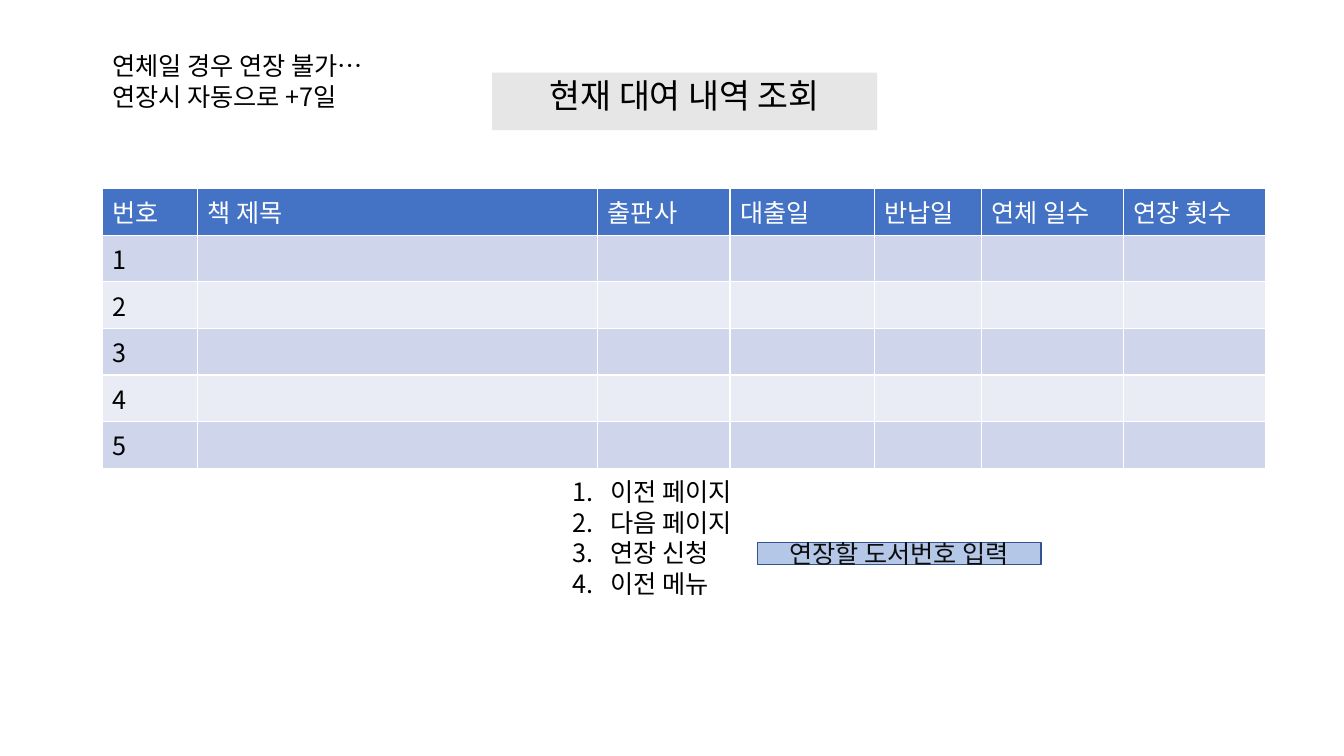
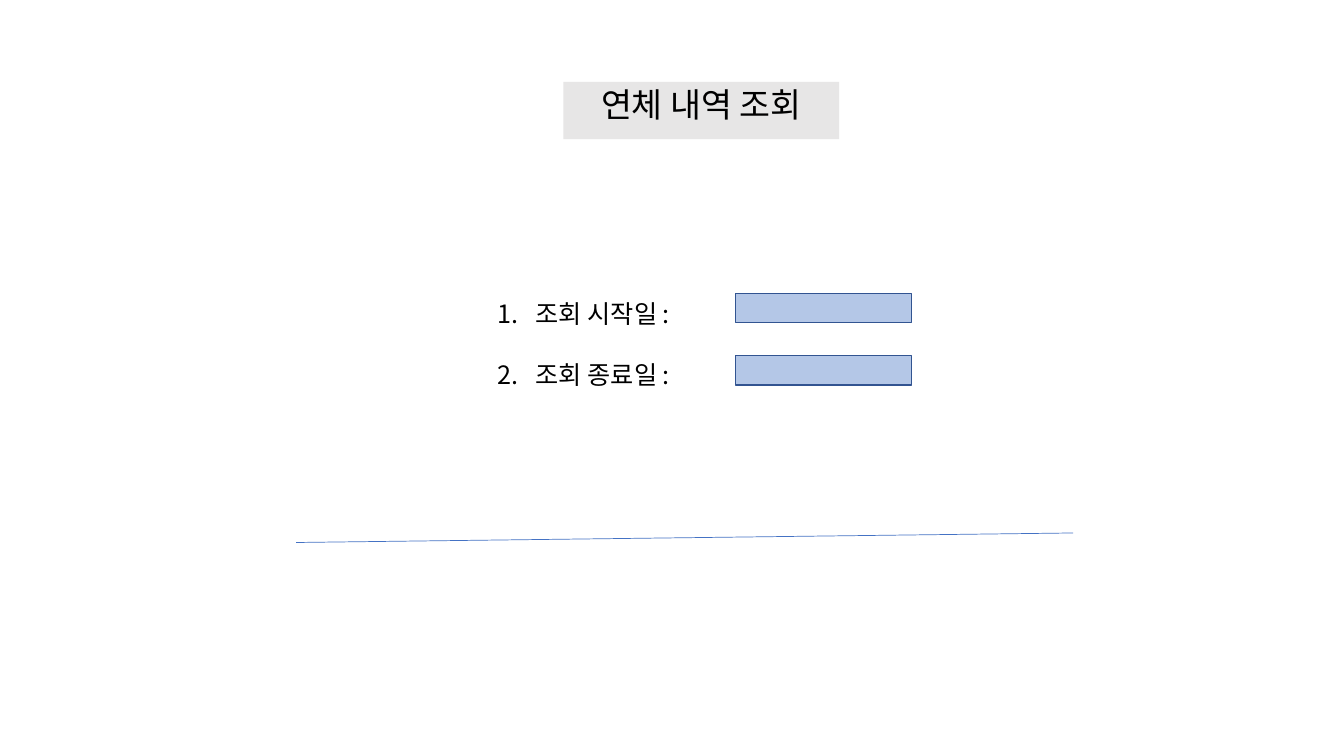
import pptx
import pptx.dml.color
import pptx.enum.shapes
import pptx.enum.text
import pptx.oxml.ns
import pptx.util
from lxml import etree

Pt = pptx.util.Pt
RGBColor = pptx.dml.color.RGBColor
PP_ALIGN = pptx.enum.text.PP_ALIGN
MSO_ANCHOR = pptx.enum.text.MSO_ANCHOR
qn = pptx.oxml.ns.qn

FONT = "Noto Sans CJK KR"
BLACK = RGBColor(0x00, 0x00, 0x00)
INK = RGBColor(0x0D, 0x0D, 0x0D)
WHITE = RGBColor(0xFF, 0xFF, 0xFF)
GRAY = RGBColor(0xE7, 0xE6, 0xE6)
BLUE = RGBColor(0x44, 0x72, 0xC4)
FIELD_FILL = RGBColor(0xB4, 0xC7, 0xE7)
FIELD_LINE = RGBColor(0x32, 0x54, 0x91)
ROW_FILLS = (RGBColor(0xCF, 0xD5, 0xEA), RGBColor(0xE9, 0xEB, 0xF5))

LIST_INDENT = 27
LINE_PITCH = 21.8


def write(frame, lines, size=18, color=BLACK, align=PP_ALIGN.LEFT,
          pitch=LINE_PITCH, gap=0, numbered=False):
    """Write one paragraph per line of text into a text frame."""
    for index, line in enumerate(lines):
        para = frame.add_paragraph() if index else frame.paragraphs[0]
        para.alignment = align
        if pitch:
            para.line_spacing = Pt(pitch)
        if index and gap:
            para.space_before = Pt(gap)
        if numbered:
            props = para._p.get_or_add_pPr()
            props.set("marL", str(Pt(LIST_INDENT)))
            props.set("indent", str(-Pt(LIST_INDENT)))
            etree.SubElement(props, qn("a:buFont"), typeface="+mj-lt")
            etree.SubElement(props, qn("a:buAutoNum"), type="arabicPeriod")
        span = para.add_run()
        span.text = line
        span.font.name = FONT
        span.font.size = Pt(size)
        span.font.color.rgb = color
        etree.SubElement(span.font._element, qn("a:ea"), typeface=FONT)


class Pages:
    """Holds the deck, its style and the current page."""

    def __init__(self):
        self.deck = pptx.Presentation()
        self.deck.slide_width = Pt(960)
        self.deck.slide_height = Pt(540)
        self.page = None

    def start(self):
        self.page = self.deck.slides.add_slide(self.deck.slide_layouts[6])

    def rect(self, left, top, width, height, fill, line=None):
        shape = self.page.shapes.add_shape(
            pptx.enum.shapes.MSO_SHAPE.RECTANGLE,
            Pt(left), Pt(top), Pt(width), Pt(height))
        shape.shadow.inherit = False
        shape.fill.solid()
        shape.fill.fore_color.rgb = fill
        if line is None:
            shape.line.fill.background()
        else:
            shape.line.color.rgb = line
            shape.line.width = Pt(1)
        return shape

    def title(self, text, left, top, width):
        band = self.rect(left, top, width, 41, GRAY)
        band.text_frame.vertical_anchor = MSO_ANCHOR.TOP
        write(band.text_frame, [text], size=24, align=PP_ALIGN.CENTER, pitch=26.5)

    def field(self, left, top, width, height, text=None):
        box = self.rect(left, top, width, height, FIELD_FILL, FIELD_LINE)
        box.text_frame.vertical_anchor = MSO_ANCHOR.MIDDLE
        if text:
            write(box.text_frame, [text], color=INK, align=PP_ALIGN.CENTER)

    def text(self, lines, left, top, width, height, **style):
        box = self.page.shapes.add_textbox(Pt(left), Pt(top), Pt(width), Pt(height))
        box.text_frame.word_wrap = True
        write(box.text_frame, lines, **style)

    def line(self, start, end):
        rule = self.page.shapes.add_connector(
            pptx.enum.shapes.MSO_CONNECTOR.STRAIGHT,
            *(Pt(value) for value in start + end))
        rule.line.color.rgb = BLUE
        rule.line.width = Pt(0.5)
        etree.SubElement(rule._element.spPr, qn("a:effectLst"))

    def table(self, rows, left, top, widths, row_height):
        table = self.page.shapes.add_table(
            len(rows), len(widths), Pt(left), Pt(top),
            Pt(sum(widths)), Pt(row_height * len(rows))).table
        for column, width in zip(table.columns, widths):
            column.width = Pt(width)
        for r, texts in enumerate(rows):
            table.rows[r].height = Pt(row_height)
            for c, text in enumerate(texts):
                cell = table.cell(r, c)
                self.borders(cell)
                cell.fill.solid()
                cell.fill.fore_color.rgb = ROW_FILLS[(r - 1) % 2] if r else BLUE
                if text:
                    write(cell.text_frame, [text], pitch=None,
                          color=BLACK if r else WHITE)

    def borders(self, cell):
        props = cell._tc.get_or_add_tcPr()
        for side in ("lnL", "lnR", "lnT", "lnB"):
            edge = etree.SubElement(props, qn("a:" + side), w=str(Pt(1)))
            fill = etree.SubElement(edge, qn("a:solidFill"))
            etree.SubElement(fill, qn("a:srgbClr"), val=str(WHITE))


def current_loans(pages):
    pages.start()
    pages.title("현재 대여 내역 조회", 351.5, 52, 275)

    # Loan table with numbered empty rows
    header = ["번호", "책 제목", "출판사", "대출일", "반납일", "연체 일수", "연장 횟수"]
    blanks = [""] * (len(header) - 1)
    rows = [header] + [[str(number)] + blanks for number in range(1, 6)]
    pages.table(rows, 73, 134.7, [68, 286, 94.5, 103, 76.5, 101.5, 101.5], 33.1)

    # Menu and its input
    pages.text(["이전 페이지", "다음 페이지", "연장 신청", "이전 메뉴"],
               402, 336.5, 139, 94.5, numbered=True)
    pages.field(541, 387.5, 202.5, 16, "연장할 도서번호 입력")

    # Rules for extending a loan
    pages.text(["연체일 경우 연장 불가…", "연장시 자동으로 +7일"], 73, 32.5, 229, 51)


def overdue_history(pages):
    pages.start()
    pages.title("연체 내역 조회", 402.5, 58.5, 197)
    pages.line((211.5, 387.5), (766.5, 380.7))

    # Search period
    pages.text(["조회 시작일 :", "조회 종료일 :"], 348.5, 209.5, 267, 73,
               gap=LINE_PITCH, numbered=True)
    for row in range(2):
        pages.field(525.5, 209.5 + 44.5 * row, 125.5, 21)


def main():
    pages = Pages()
    current_loans(pages)
    overdue_history(pages)
    pages.deck.save("out.pptx")


if __name__ == "__main__":
    main()
